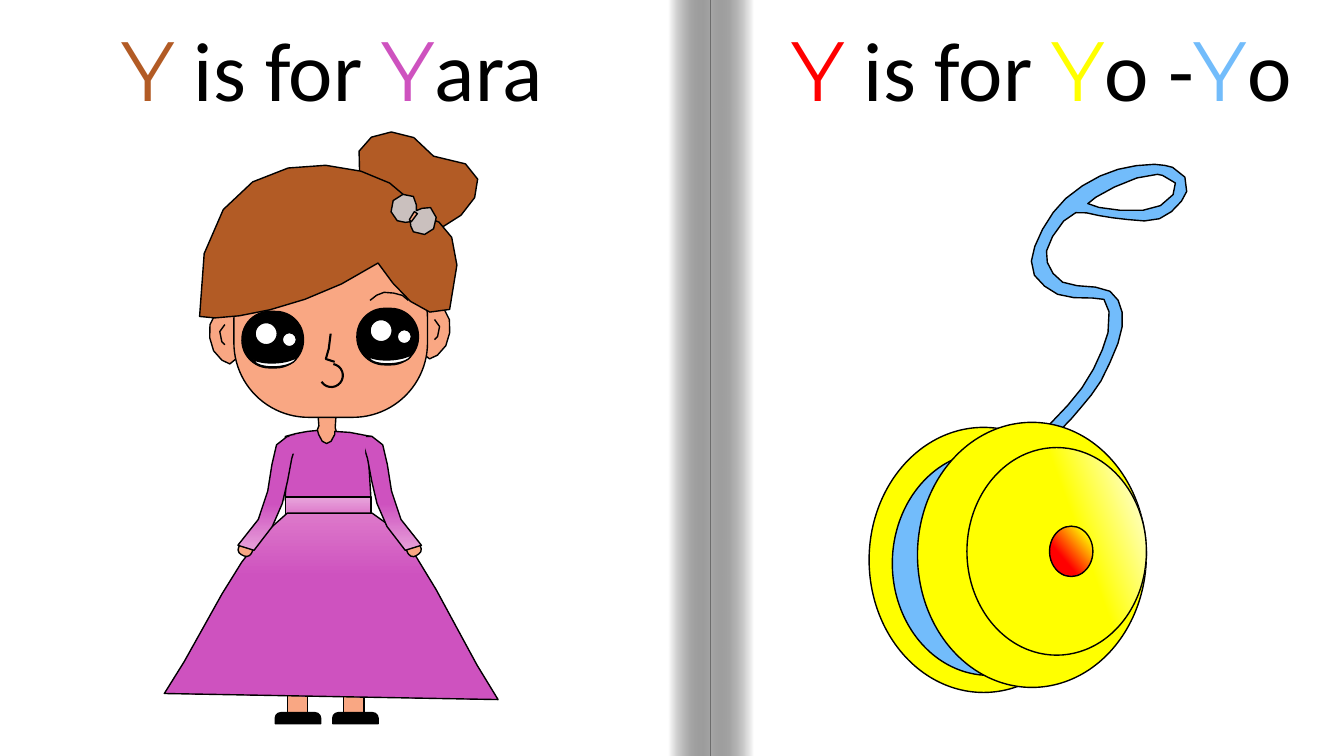
"""Builds a two-page picture-book spread for the letter Y."""
from math import dist, sqrt

from lxml.etree import SubElement
from pptx import Presentation
from pptx.dml.color import RGBColor
from pptx.enum.shapes import MSO_SHAPE as Preset
from pptx.enum.text import MSO_ANCHOR as Anchor, MSO_AUTO_SIZE as AutoSize, PP_ALIGN as Align
from pptx.oxml.ns import qn
from pptx.util import Pt

PX = 9144
MIDLINE = 654

COLOURS = {
    "white": "FFFFFF", "black": "000000", "red": "FF0000", "yellow": "FFFF00",
    "blue": "72BCFB", "brown": "B25B25", "pink": "CE52BF", "rose": "DD79CA",
    "blush": "E7A1DA", "skin": "F9A783", "bow": "CAC0BE",
}
SLEEVE = ((59, "pink"), (100, "blush"), 270)

EAR = "M 243 335 C 243 321 249 309 228 309 C 206 309 208 321 208 335 C 208 349 222 361 228 361 C 233 361 243 349 243 335 Z"
EAR_FOLD = "M 223 322 C 221 324 219 327 218 329 C 218 332 219 337 220 339 C 221 341 223 342 223 342"
ARM = "M 285 433 L 296 433 C 281 470 291 506 252 546 L 236 541 C 282 503 259 435 285 433 Z"
SHOULDER = "M 287 433 C 290 431 296 432 301 432 L 301 450 L 288 450 Z"
NECK = "M 313 392 L 335 392 C 335 408 328 424 337 441 L 309 441 C 323 420 313 408 313 392 Z"
BODICE = (
    "M 315 427 L 316 431 C 318 437 321 440 324 440 C 327 440 330 437 332 431 L 332 428 L 347 429 "
    "C 354 430 361 432 368 433 C 362 449 368 475 368 496 L 283 496 C 283 475 286 454 283 433 "
    "C 290 431 297 429 305 428 Z"
)
SKIRT = "M 285 509 L 369 509 C 414 527 452 632 494 694 L 163 688 C 204 628 234 544 285 509 Z"
BUN = "M 375 196 C 317 142 397 104 430 155 C 516 160 457 235 417 229 Z"
HAIR = (
    "M 198 314 C 186 96 424 166 408 213 C 424 213 471 218 446 307 "
    "C 420 322 392 286 375 261 C 305 308 218 320 198 314 Z"
)
BROW = "M 367 298 C 371 294 376 291 381 290 C 386 289 395 292 399 293 C 403 294 405 298 405 298"
NOSE = "M 332 359 C 313 361 331 347 328 331"
BOW = (
    "M 390 199 C 395 192 404 191 410 195 C 417 200 410 208 413 209 C 415 211 421 202 427 206 "
    "C 433 211 435 220 430 227 C 426 233 417 235 410 230 C 405 227 409 221 407 220 "
    "C 404 218 401 224 394 219 C 387 215 386 206 390 199 Z"
)
BOW_KNOT = "M 411 210 C 412 209 414 209 414 212 L 408 220 C 407 221 405 220 406 218 Z"
STRING = (
    "M 1145 163 C 1153 164 1159 164 1163 166 C 1175 169 1179 181 1177 190 C 1175 198 1162 213 1150 217 "
    "C 1137 222 1117 217 1103 216 C 1089 215 1077 209 1067 211 C 1056 213 1040 238 1038 249 "
    "C 1036 260 1043 273 1054 280 C 1064 286 1091 282 1101 289 C 1111 296 1115 309 1113 324 "
    "C 1112 338 1100 362 1092 378 C 1083 393 1072 404 1063 415 C 1053 425 1042 438 1036 441 "
    "C 1031 443 1029 439 1028 436 L 1027 435 L 1028 434 C 1039 423 1062 401 1073 385 "
    "C 1086 367 1095 345 1099 330 C 1102 316 1100 300 1095 297 C 1090 294 1061 298 1049 292 "
    "C 1036 285 1021 275 1023 259 C 1024 243 1040 212 1057 197 C 1073 183 1091 173 1109 168 "
    "C 1120 165 1134 163 1145 163 Z "
    "M 1148 173 C 1125 172 1080 198 1079 202 C 1084 207 1135 214 1151 204 "
    "C 1167 195 1175 178 1153 174 C 1151 173 1150 173 1148 173 Z"
)


def rgb(name):
    return RGBColor.from_string(COLOURS[name])


def paint(shape, fill, line):
    shape.shadow.inherit = False
    if fill is None:
        shape.fill.background()
    elif isinstance(fill, str):
        shape.fill.solid()
        shape.fill.fore_color.rgb = rgb(fill)
    else:
        *stops, angle = fill
        shape.fill.gradient()
        shape.fill.gradient_angle = angle
        for stop, (percent, colour) in zip(shape.fill.gradient_stops, stops):
            stop.position = percent / 100
            stop.color.rgb = rgb(colour)
    if line:
        shape.line.color.rgb = rgb("black")
        shape.line.width = Pt(line)
    else:
        shape.line.fill.background()


def preset(shapes, kind, box, fill=None, line=1, turn=0, adjust=()):
    shape = shapes.add_shape(kind, *(side * PX for side in box))
    shape.rotation = turn
    for index, value in enumerate(adjust):
        shape.adjustments[index] = value
    paint(shape, fill, line)
    return shape


def arc(shapes, box, turn, start, end, line):
    preset(shapes, Preset.ARC, box, None, line, turn, (start * 0.6, end * 0.6))


def curve(*corners):
    length = sum(map(dist, corners, corners[1:])) / PX
    steps = max(1, round(sqrt(length / 6)))
    for step in range(1, steps + 1):
        t = step / steps
        weights = ((1 - t) ** 3, 3 * t * (1 - t) ** 2, 3 * t * t * (1 - t), t ** 3)
        yield tuple(sum(w * c[axis] for w, c in zip(weights, corners)) for axis in (0, 1))


def contours(outline, mirror, drop):
    tokens = iter(outline.split())

    def point():
        x, y = int(next(tokens)), int(next(tokens))
        return ((mirror - x if mirror else x) * PX, (y + drop) * PX)

    for command in tokens:
        if command == "M":
            points = [point()]
            yield points
        elif command == "L":
            points.append(point())
        elif command == "C":
            points.extend(list(curve(points[-1], point(), point(), point())))


def freeform(shapes, outline, fill=None, line=1, mirror=0, drop=0):
    closed = outline.endswith("Z")
    first, *holes = list(contours(outline, mirror, drop))
    builder = shapes.build_freeform(*first[0], scale=1.0)
    builder.add_line_segments(first[1:], close=closed)
    for hole in holes:
        builder.move_to(*hole[0])
        builder.add_line_segments(hole[1:], close=closed)
    paint(builder.convert_to_shape(), fill, line)


def heading(holder, box, pieces):
    holder.left, holder.top, holder.width, holder.height = (side * PX for side in box)
    frame = holder.text_frame
    frame.word_wrap = True
    frame.auto_size = AutoSize.SHAPE_TO_FIT_TEXT
    frame.vertical_anchor = Anchor.TOP
    paragraph = frame.paragraphs[0]
    paragraph.alignment = Align.CENTER
    paragraph.font.size = Pt(60)
    for text, colour in pieces:
        run = paragraph.add_run()
        run.text = text
        run.font.name = "Montserrat" if text == "Y" else "Calibri"
        run.font.color.rgb = rgb(colour)


def draw_spread(shapes):
    preset(shapes, Preset.RECTANGLE, (0, 0, 1333, 750), "white", 0)
    for left, angle in ((705, 180), (663, 0)):
        fade = ((0, "white"), (100, "black"), angle)
        gutter = preset(shapes, Preset.RECTANGLE, (left, 0, 42, 750), fade, 0)
        shade = list(gutter.element.iter(qn("a:srgbClr")))[-1]
        SubElement(shade, qn("a:alpha"), val="34000")


def draw_eye(shapes, x, y, lashes, lash_start):
    upper, lower = ((*corner, 66, 66) for corner in lashes)
    preset(shapes, Preset.ROUNDED_RECTANGLE, (x, y, 61, 56), "black", adjust=(0.49,))
    arc(shapes, upper, 150.7, lash_start, 199.29, 0.5)
    preset(shapes, Preset.MOON, (x + 29, y + 30, 8, 42), "white", turn=267.1)
    arc(shapes, lower, 150.7, lash_start, 199.29, 0.5)
    for dx, dy, size in ((13, 11, 22), (40, 21, 14)):
        preset(shapes, Preset.OVAL, (x + dx, y + dy, size, size), "white")


def draw_yara(shapes):
    for left, top in ((285, 589), (341, 588)):
        preset(shapes, Preset.RECTANGLE, (left, top, 20, 126), "skin")
    for left in (330, 273):
        preset(shapes, Preset.ROUND_2_SAME_RECTANGLE, (left, 707, 45, 11), "black", adjust=(0.5, 0))
    freeform(shapes, NECK, "skin")
    freeform(shapes, BODICE, "pink")
    preset(shapes, Preset.RECTANGLE, (283, 493, 85, 17), ((11, "blush"), (100, "rose"), 270))
    freeform(shapes, SKIRT, ((0, "rose"), (34, "pink"), 270))
    for hand, turn, arm_mirror, shoulder_mirror in ((237, 295.6, 0, 0), (404, 235.2, MIDLINE, 650)):
        preset(shapes, Preset.ROUNDED_RECTANGLE, (hand, 538, 13, 14), "skin", turn=turn, adjust=(0.42,))
        freeform(shapes, ARM, SLEEVE, mirror=arm_mirror)
        freeform(shapes, SHOULDER, "pink", 0, shoulder_mirror)
    for mirror, drop in ((0, 0), (MIDLINE, -5)):
        for outline in (EAR, EAR_FOLD):
            freeform(shapes, outline, "skin", mirror=mirror, drop=drop)
    freeform(shapes, BUN, "brown")
    preset(shapes, Preset.ROUNDED_RECTANGLE, (232, 242, 192, 172), "skin", adjust=(0.43,))
    arc(shapes, (317, 361, 23, 23), 129.4, 150.91, 17.78, 1.5)
    draw_eye(shapes, 354, 306, ((372, 250), (379, 259)), 163.68)
    draw_eye(shapes, 240, 309, ((220, 254), (214, 263)), 162)
    for outline, fill, line in (
        (BROW, "skin", 1), (HAIR, "brown", 1), (NOSE, None, 1.5), (BOW, "bow", 1), (BOW_KNOT, "skin", 1),
    ):
        freeform(shapes, outline, fill, line)


def draw_yoyo(shapes):
    preset(shapes, Preset.OVAL, (862, 424, 227, 263), "yellow")
    freeform(shapes, STRING, "blue")
    for box, fill in (
        ((885, 448, 192, 222), "blue"),
        ((910, 419, 227, 263), "yellow"),
        ((959, 444, 178, 206), ((61, "yellow"), (100, "white"), 20)),
        ((1041, 522, 43, 50), ((13, "yellow"), (67, "red"), 220)),
    ):
        preset(shapes, Preset.OVAL, box, fill)


def main():
    deck = Presentation()
    deck.slide_width, deck.slide_height = 1333 * PX, 750 * PX
    slide = deck.slides.add_slide(deck.slide_layouts[5])
    spread = slide.shapes.add_group_shape()
    draw_spread(spread.shapes)
    yara_title = slide.shapes.title
    spread.element.addnext(yara_title.element)
    heading(yara_title, (5, 12, 668, 111),
            (("Y", "brown"), (" is for ", "black"), ("Y", "pink"), ("ara ", "black")))
    heading(slide.shapes.add_textbox(0, 0, 0, 0), (732, 12, 602, 111),
            (("Y", "red"), (" is for ", "black"), ("Y", "yellow"), ("o -", "black"), ("Y", "blue"), ("o", "black")))
    draw_yara(slide.shapes.add_group_shape().shapes)
    draw_yoyo(slide.shapes.add_group_shape().shapes)
    deck.save("out.pptx")


if __name__ == "__main__":
    main()
